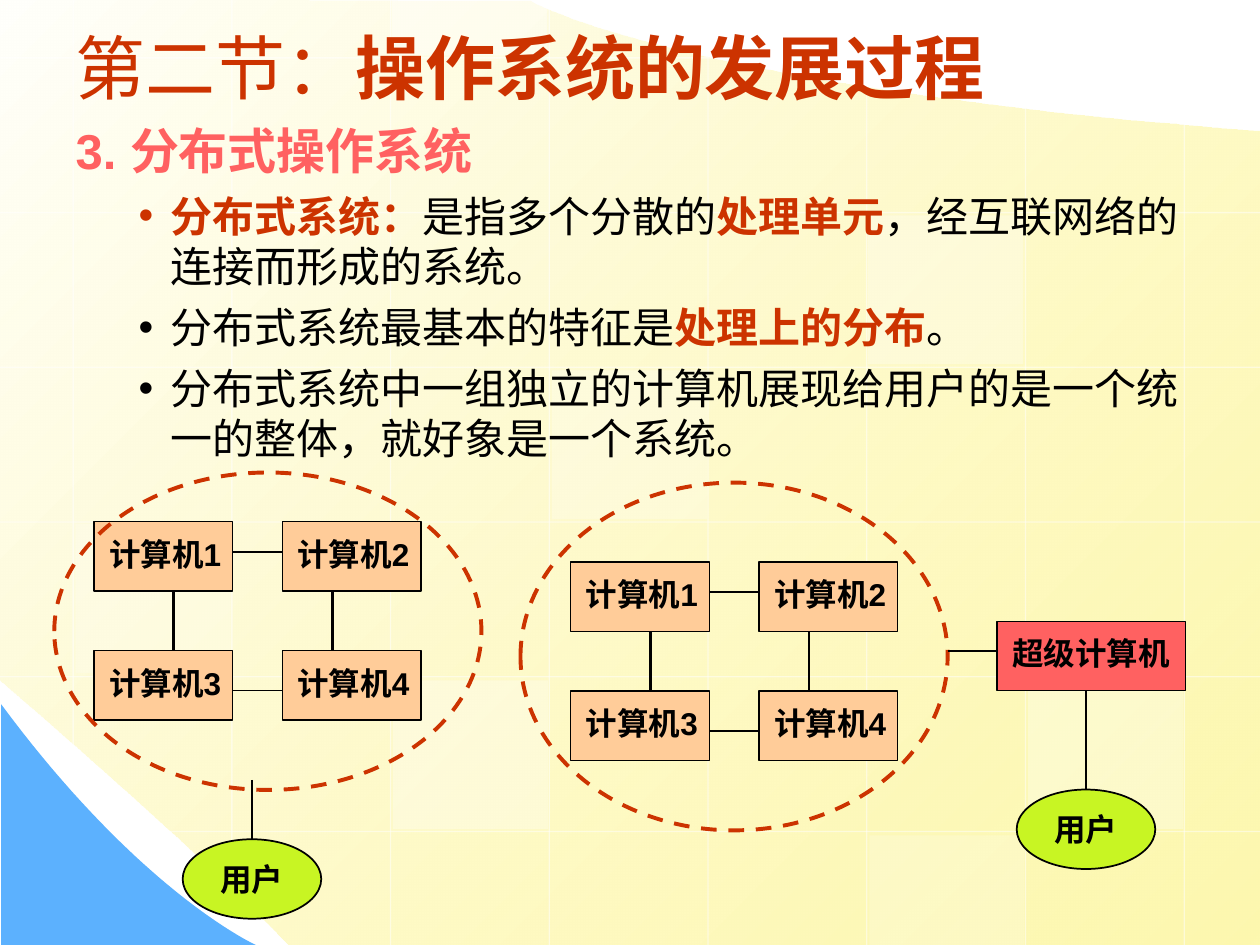
"""Build a slide on distributed operating systems with two computer cluster diagrams."""
from lxml import etree
from pptx import Presentation
from pptx.dml.color import RGBColor
from pptx.enum import dml, shapes, text
from pptx.oxml import ns
from pptx.util import Pt

BLACK = RGBColor(0x00, 0x00, 0x00)
WHITE = RGBColor(0xFF, 0xFF, 0xFF)
IVORY = RGBColor(0xFF, 0xFF, 0xFB)
YELLOW = RGBColor(0xFD, 0xF5, 0x8D)
BLUE = RGBColor(0x5C, 0xB1, 0xFE)
BRICK = RGBColor(0xCC, 0x33, 0x00)
CORAL = RGBColor(0xFF, 0x61, 0x61)
PEACH = RGBColor(0xFF, 0xCC, 0x99)
LIME = RGBColor(0xC8, 0xF5, 0x23)

RECTANGLE = shapes.MSO_SHAPE.RECTANGLE
OVAL = shapes.MSO_SHAPE.OVAL
BOX_W, BOX_H = 79.2, 39.6
COLUMN_STEP, ROW_STEP = 107.6, 73.8


def bezier(start, control_a, control_b, end, steps=40):
    """Return points along a cubic curve, without its start."""
    points = []
    for step in range(1, steps + 1):
        t = step / steps
        weights = ((1 - t) ** 3, 3 * t * (1 - t) ** 2, 3 * t * t * (1 - t), t ** 3)
        corners = (start, control_a, control_b, end)
        points.append(tuple(sum(w * c[axis] for w, c in zip(weights, corners)) for axis in (0, 1)))
    return points


class SlideBuilder:
    """Hold the slide and the shared style of its elements."""

    font = "Arial"

    def __init__(self, slide):
        self.slide = slide
        self.shapes = slide.shapes

    def fade(self, element, percent):
        """Make the last colour of an element partly transparent."""
        color = list(element.spPr.iter(ns.qn("a:srgbClr")))[-1]
        etree.SubElement(color, ns.qn("a:alpha"), val=str(percent * 1000))

    def outline(self, points):
        """Add a closed outline without a line."""
        corners = [(Pt(x), Pt(y)) for x, y in points]
        builder = self.shapes.build_freeform(*corners[0], scale=1.0)
        builder.add_line_segments(corners[1:], close=True)
        area = builder.convert_to_shape()
        area.shadow.inherit = False
        area.line.fill.background()
        return area

    def shape(self, kind, box, fill=None, line=None, width=0.75, label=None, align="LEFT", margins=(0, 0)):
        """Add a preset shape with an optional label."""
        item = self.shapes.add_shape(kind, *map(Pt, box))
        item.shadow.inherit = False
        if fill is None:
            item.fill.background()
        else:
            item.fill.solid()
            item.fill.fore_color.rgb = fill
        if line is None:
            item.line.fill.background()
        else:
            item.line.color.rgb = line
            item.line.width = Pt(width)
        if label:
            frame = item.text_frame
            frame.word_wrap = False
            frame.vertical_anchor = text.MSO_ANCHOR.MIDDLE
            frame.margin_left, frame.margin_bottom = map(Pt, margins)
            frame.margin_right = frame.margin_top = 0
            paragraph = frame.paragraphs[0]
            paragraph.text = label
            paragraph.alignment = text.PP_ALIGN[align]
            self.style(paragraph, 18, BLACK, True)
        return item

    def computer(self, left, top, label, width=BOX_W, fill=PEACH):
        return self.shape(RECTANGLE, (left, top, width, BOX_H), fill, BLACK, label=label, margins=(8.6, 3))

    def user(self, left, top):
        return self.shape(OVAL, (left, top, 79.2, 45.4), LIME, BLACK, 1, "用户", "CENTER")

    def boundary(self, box):
        self.shape(OVAL, box, line=BRICK, width=2.25).line.dash_style = dml.MSO_LINE.DASH

    def line(self, start, end, width, color=BLACK):
        """Add a straight connector."""
        link = self.shapes.add_connector(shapes.MSO_CONNECTOR.STRAIGHT, *map(Pt, (*start, *end)))
        link.line.color.rgb = color
        link.line.width = Pt(width)
        etree.SubElement(link._element.spPr, ns.qn("a:effectLst"))
        return link

    def grid_line(self, start, end):
        self.fade(self.line(start, end, 0.75, WHITE)._element, 50)

    def cluster(self, left, top):
        """Add four linked computers."""
        for index in range(4):
            row, column = divmod(index, 2)
            self.computer(left + column * COLUMN_STEP, top + row * ROW_STEP, f"计算机{index + 1}")
        for x in (left + 45.4, left + 136.1):
            self.line((x, top + BOX_H), (x, top + ROW_STEP), 1.5)
        for y in (top + 17.3, top + 96.5):
            self.line((left + BOX_W, y), (left + COLUMN_STEP, y), 1)

    def style(self, paragraph, size, color=None, bold=None):
        font = paragraph.font
        font.name, font.size, font.bold = self.font, Pt(size), bold
        if color is not None:
            font.color.rgb = color

    def placeholder(self, index, box, anchor):
        """Move a template placeholder in front and return its text frame."""
        holder = self.slide.placeholders[index]
        holder.left, holder.top, holder.width, holder.height = map(Pt, box)
        self.shapes._spTree.append(holder._element)
        frame = holder.text_frame
        frame.word_wrap = True
        frame.auto_size = text.MSO_AUTO_SIZE.NONE
        frame.vertical_anchor = anchor
        return frame

    def indent(self, paragraph, level, margin, hanging, bullet_color=None):
        """Set level, indent and bullet of a list paragraph."""
        paragraph.level = level
        paragraph.alignment = text.PP_ALIGN.LEFT
        properties = paragraph._p.get_or_add_pPr()
        properties.set("marL", str(Pt(margin)))
        properties.set("indent", str(Pt(-hanging)))
        if bullet_color is None:
            etree.SubElement(properties, ns.qn("a:buNone"))
        else:
            color = etree.SubElement(properties, ns.qn("a:buClr"))
            etree.SubElement(color, ns.qn("a:srgbClr"), val=str(bullet_color))
            etree.SubElement(properties, ns.qn("a:buFont"), typeface=self.font)
            etree.SubElement(properties, ns.qn("a:buChar"), char="•")

    def background(self):
        """Add the gradient sheet, the blue corner, the grid and the pale tiles."""
        sheet = self.outline([
            (720, 74.9), (720, 540), (165.6, 540),
            *bezier((165.6, 540), (103.7, 475.9), (-0.7, 388.1), (0, 388.1)),
            (-0.7, -0.7), (303.1, 0.7),
            *bezier((303.1, 0.7), (303.1, 0.7), (386.6, 49.7), (720, 74.9))])
        sheet.fill.gradient()
        sheet.fill.gradient_angle = 315
        for stop, color, position in zip(sheet.fill.gradient_stops, (IVORY, YELLOW), (0, 1)):
            stop.color.rgb, stop.position = color, position
        self.fade(sheet._element, 70)
        corner = self.outline([(0.7, 402.5), (0.7, 540), (146.2, 540),
                               *bezier((146.2, 540), (146.2, 540), (80.6, 510.5), (0.7, 402.5))])
        corner.fill.solid()
        corner.fill.fore_color.rgb = BLUE
        tops = (0, 0, 0, 0, 31, 49, 61.2, 70.6)
        bottoms = (438.5, 517.7) + (540,) * 6
        for column, (top, bottom) in enumerate(zip(tops, bottoms)):
            x = 41.8 + 90.7 * column
            self.grid_line((x, top), (x, bottom))
        for row, (left, right) in enumerate([(0, 409)] + [(0, 720)] * 4 + [(79.9, 720)]):
            y = 33.1 + 88.4 * row
            self.grid_line((left, y), (right, y))
        for left, top, height, opacity in (
                (315.4, 211.7, 85, 25), (587.5, 388.8, 85, 30), (43.2, 299.5, 85, 20), (496.8, 477.4, 62.6, 20),
                (223.9, 0, 31.7, 40), (224.6, 388.8, 85, 30), (496.1, 123.1, 85, 30)):
            self.fade(self.shape(RECTANGLE, (left, top, 88.6, height), WHITE)._element, opacity)


def main():
    deck = Presentation()
    deck.slide_width, deck.slide_height = Pt(720), Pt(540)
    page = SlideBuilder(deck.slides.add_slide(deck.slide_layouts[1]))
    page.background()

    heading = page.placeholder(0, (36, 9.4, 648, 57.6), text.MSO_ANCHOR.MIDDLE).paragraphs[0]
    heading.alignment = text.PP_ALIGN.LEFT
    page.style(heading, 40, BRICK)
    heading.add_run().text = "第二节："
    topic = heading.add_run()
    topic.text, topic.font.bold = "操作系统的发展过程", True

    body = page.placeholder(1, (0, 65.5, 684, 204.5), text.MSO_ANCHOR.TOP)
    section = body.paragraphs[0]
    section.text = "3. 分布式操作系统"
    page.indent(section, 1, 58.5, 22.5)
    section.space_before = Pt(0)
    page.style(section, 28, CORAL, True)
    points = (
        (BRICK, (("分布式系统：", True), ("是指多个分散的", False), ("处理单元", True),
                 ("，经互联网络的连接而形成的系统。", False))),
        (BLACK, (("分布式系统最基本的特征是", False), ("处理上的分布", True), ("。", False))),
        (BLACK, (("分布式系统中一组独立的计算机展现给用户的是一个统一的整体，就好象是一个系统。", False),)))
    for bullet_color, phrases in points:
        point = body.add_paragraph()
        page.indent(point, 2, 90, 18, bullet_color)
        point.space_before = Pt(6)
        page.style(point, 24)
        for words, key in phrases:
            phrase = point.add_run()
            phrase.text, phrase.font.bold = words, key
            phrase.font.color.rgb = BRICK if key else BLACK

    page.cluster(53.8, 298.1)
    left_user = page.user(104.4, 479.6)
    page.cluster(326.2, 321.1)
    right_user = page.user(581, 451.2)
    page.boundary((297.4, 275.8, 244.1, 198.7))
    page.computer(569.8, 355, "超级计算机", 107.6, CORAL)
    page.line((541.5, 372.2), (569.8, 372.2), 1)
    page.line((620.6, 394.6), (620.6, 451.2), 1.5).end_connect(right_user, 0)
    page.boundary((31, 270, 244.1, 181.4))
    page.line((144, 445.7), (144, 479.6), 1.5).end_connect(left_user, 0)
    deck.save("out.pptx")


if __name__ == "__main__":
    main()
